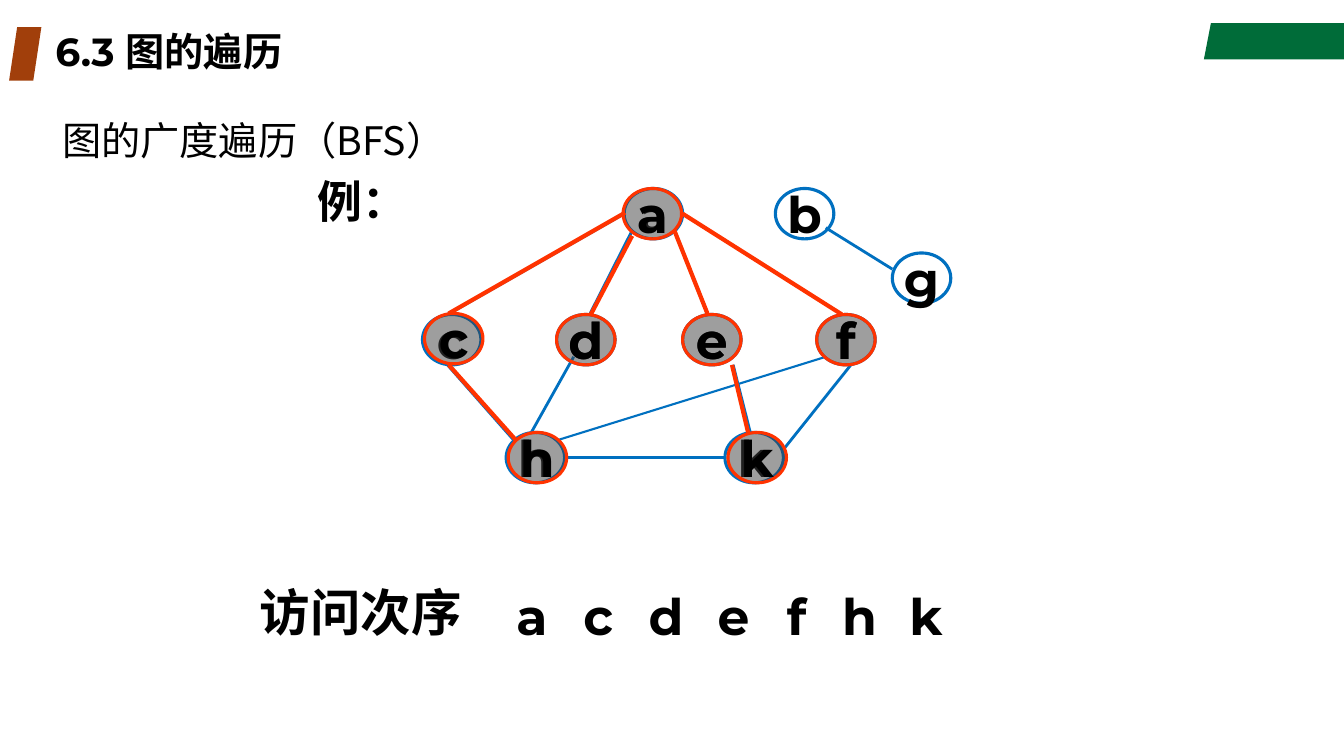
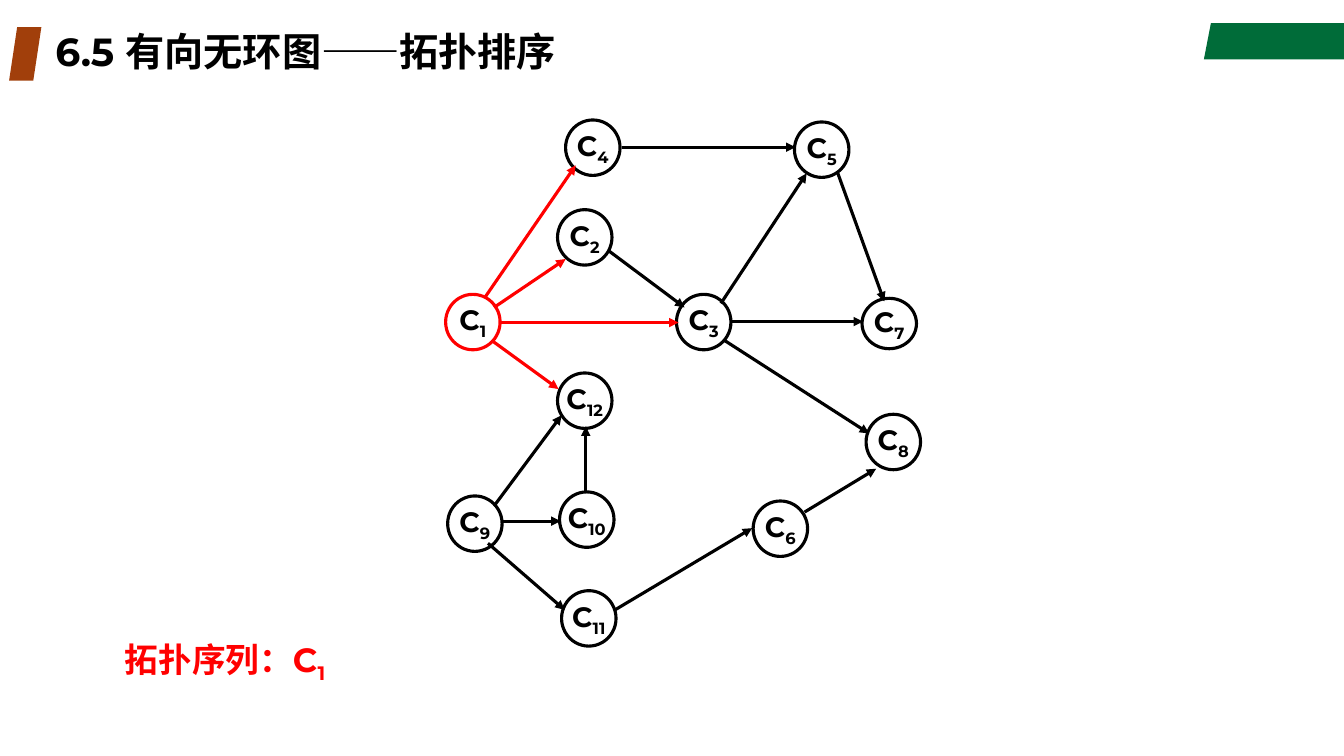
from lxml import etree
from pptx import Presentation
from pptx import util as u
from pptx.dml import color as dml
from pptx.enum import shapes, text
from pptx.oxml import ns

PX = 9144  # one px is a hundredth of an inch
LATIN, CJK = "Montserrat", "Noto Sans CJK SC"
BLACK, GREEN, RUST = "000000", "006C39", "A13F0B"
BLUE, ORANGE, RED, GREY = "0070C0", "FF3300", "FF0000", "3F3F3F"
CENTER = text.PP_ALIGN.CENTER
MIDDLE = text.MSO_ANCHOR.MIDDLE

# Breadth-first search: every node and edge, then the visited ones
BFS_TITLE = "6.3 图的遍历"
BFS_NODE_SIZE = (58, 50)
GRAPH_NODES = [
    ("a", 619, 187), ("b", 769, 187), ("c", 419, 312), ("h", 502, 429), ("d", 552, 312),
    ("e", 677, 312), ("k", 719, 429), ("f", 810, 312), ("g", 885, 251),
]
GRAPH_EDGES = [  # x1, y1, x2, y2, line width
    (619, 212, 444, 312, 2.25), (444, 362, 510, 437, 2.25), (560, 454, 719, 454, 2),
    (627, 229, 585, 312, 2.25), (569, 354, 527, 429, 2), (727, 362, 744, 429, 2.25),
    (669, 229, 702, 312, 2.25), (677, 212, 835, 312, 2), (844, 362, 777, 446, 2),
    (819, 226, 885, 267, 2), (552, 437, 819, 354, 1.5),
]
VISITED_NODES = [
    ("a", 618, 187), ("c", 421, 311), ("h", 504, 429), ("k", 722, 429),
    ("f", 810, 312), ("e", 677, 312), ("d", 552, 312),
]
TREE_EDGES = [
    (620, 211, 445, 311), (627, 234, 586, 312), (445, 362, 512, 437),
    (669, 229, 702, 312), (726, 362, 742, 429), (677, 212, 835, 312),
]
VISIT_ORDER = [  # letter, left, width
    ("a", 494, 67), ("c", 560, 67), ("d", 627, 67), ("e", 694, 67),
    ("f", 760, 60), ("h", 819, 67), ("k", 885, 67),
]

# Topological sort: courses and their prerequisites
SORT_TITLE = "6.5 有向无环图——拓扑排序"
COURSE_WIDTH = 54
COURSES = [  # number, left, top, height, line colour
    ("1", 442, 292, 55, RED), ("2", 553, 208, 55, BLACK), ("3", 671, 292, 55, BLACK),
    ("4", 561, 119, 55, BLACK), ("5", 788, 121, 55, BLACK), ("6", 747, 497, 55, BLACK),
    ("7", 855, 296, 50, BLACK), ("8", 859, 411, 55, BLACK), ("9", 444, 492, 55, BLACK),
    ("10", 555, 488, 55, BLACK), ("11", 557, 586, 55, BLACK), ("12", 553, 370, 55, BLACK),
]
ARROWS = {
    RED: [(496, 320, 673, 320), (490, 305, 561, 257), (481, 295, 571, 164),
          (488, 338, 554, 386)],
    BLACK: [(604, 249, 679, 305), (617, 146, 789, 146), (715, 301, 800, 172),
            (725, 319, 856, 319), (831, 172, 877, 299), (490, 502, 557, 412),
            (498, 517, 556, 517), (581, 489, 581, 423), (484, 539, 560, 605),
            (610, 605, 746, 524), (798, 508, 869, 465), (719, 338, 862, 430)],
}


def px(*values):
    return [value * PX for value in values]


def rgb(value):
    return dml.RGBColor.from_string(value)


def add_run(paragraph, words, size, color=BLACK, bold=True, font=LATIN, subscript=False):
    run = paragraph.add_run()
    run.text = words
    run.font.size = u.Pt(size)
    run.font.bold = bold
    run.font.name = font
    run.font.color.rgb = rgb(color)
    properties = run.font._element
    etree.SubElement(properties, ns.qn("a:ea")).set("typeface", CJK)
    if subscript:
        properties.set("baseline", "-25000")


def add_text(slide, box, words, size, align=None, anchor=None, wrap=True, **style):
    frame = slide.shapes.add_textbox(*px(*box)).text_frame
    frame.word_wrap = wrap
    frame.vertical_anchor = anchor
    paragraph = frame.paragraphs[0]
    paragraph.alignment = align
    add_run(paragraph, words, size, **style)
    return paragraph


def paint(shape, fill=None, line=None, width=2.25, alpha=None):
    shape.shadow.inherit = False
    if fill:
        shape.fill.solid()
        shape.fill.fore_color.rgb = rgb(fill)
        if alpha:
            color = shape.fill._xPr.find(".//" + ns.qn("a:srgbClr"))
            etree.SubElement(color, ns.qn("a:alpha")).set("val", str(alpha * 1000))
    else:
        shape.fill.background()
    if line:
        shape.line.color.rgb = rgb(line)
        shape.line.width = u.Pt(width)
    else:
        shape.line.fill.background()


def add_node(slide, box, label, size, line, subscript=None, **fill):
    node = slide.shapes.add_shape(shapes.MSO_SHAPE.OVAL, *px(*box))
    paint(node, line=line, **fill)
    frame = node.text_frame
    frame.word_wrap = False
    frame.vertical_anchor = MIDDLE
    frame.margin_left = frame.margin_right = frame.margin_top = frame.margin_bottom = 0
    paragraph = frame.paragraphs[0]
    paragraph.alignment = CENTER
    add_run(paragraph, label, size)
    if subscript:
        add_run(paragraph, subscript, size, subscript=True)


def add_line(slide, ends, color, width, arrow=False):
    connector = slide.shapes.add_connector(shapes.MSO_CONNECTOR.STRAIGHT, *px(*ends))
    connector.line.color.rgb = rgb(color)
    connector.line.width = u.Pt(width)
    if arrow:
        line = connector.line._get_or_add_ln()
        etree.SubElement(line, ns.qn("a:tailEnd")).set("type", "triangle")
    etree.SubElement(connector._element.spPr, ns.qn("a:effectLst"))


def add_titled_slide(presentation, title_words):
    """Start a slide with the green band, the rust marker and the title."""
    slide = presentation.slides.add_slide(presentation.slide_layouts[5])
    outline = slide.shapes.build_freeform(1201, 23, scale=PX)
    outline.add_line_segments([(1333, 23), (1333, 59), (1194, 59)])
    paint(outline.convert_to_shape(), GREEN)
    marker = slide.shapes.add_shape(shapes.MSO_SHAPE.PARALLELOGRAM, *px(9, 27, 32, 53))
    paint(marker, RUST)

    title = slide.shapes.title
    title.left, title.top, title.width, title.height = px(45, 27, 945, 53)
    frame = title.text_frame
    frame.vertical_anchor = MIDDLE
    frame.auto_size = text.MSO_AUTO_SIZE.NONE
    paragraph = frame.paragraphs[0]
    paragraph.alignment = text.PP_ALIGN.LEFT
    paragraph.line_spacing = 0.9
    add_run(paragraph, title_words, 28)
    return slide


def build_search(presentation):
    slide = add_titled_slide(presentation, BFS_TITLE)
    body = add_text(slide, (52, 116, 1150, 50), "图的广度遍历（BFS）", 28, bold=False, font=CJK)
    body.line_spacing = 0.9
    add_text(slide, (293, 168, 133, 63), "例：", 32, CENTER, MIDDLE)

    # Whole graph
    for label, left, top in GRAPH_NODES:
        size = 32 if label == "a" else 36
        add_node(slide, (left, top, *BFS_NODE_SIZE), label, size, BLUE)
    for *ends, width in GRAPH_EDGES:
        add_line(slide, ends, BLUE, width)

    # Visited nodes and search tree
    for label, left, top in VISITED_NODES:
        add_node(slide, (left, top, *BFS_NODE_SIZE), label, 36, ORANGE, fill=GREY, alpha=50)
    for ends in TREE_EDGES:
        add_line(slide, ends, ORANGE, 3)

    # Order of visits
    add_text(slide, (248, 572, 221, 70), "访问次序", 36, wrap=False)
    for letter, left, width in VISIT_ORDER:
        add_text(slide, (left, 576, width, 70), letter, 36, CENTER)


def build_sort(presentation):
    slide = add_titled_slide(presentation, SORT_TITLE)
    for number, left, top, height, color in COURSES:
        add_node(slide, (left, top, COURSE_WIDTH, height), "C", 20, color, number)
    for color, arrows in ARROWS.items():
        for ends in arrows:
            add_line(slide, ends, color, 2.25, arrow=True)

    # Sequence so far
    sequence = add_text(slide, (114, 624, 768, 52), "拓扑序列：C", 24, color=RED)
    sequence.line_spacing = 1.1
    add_run(sequence, "1", 24, RED, subscript=True)


def main():
    presentation = Presentation()
    presentation.slide_width, presentation.slide_height = px(1333, 750)
    build_search(presentation)
    build_sort(presentation)
    presentation.save("out.pptx")


if __name__ == "__main__":
    main()
